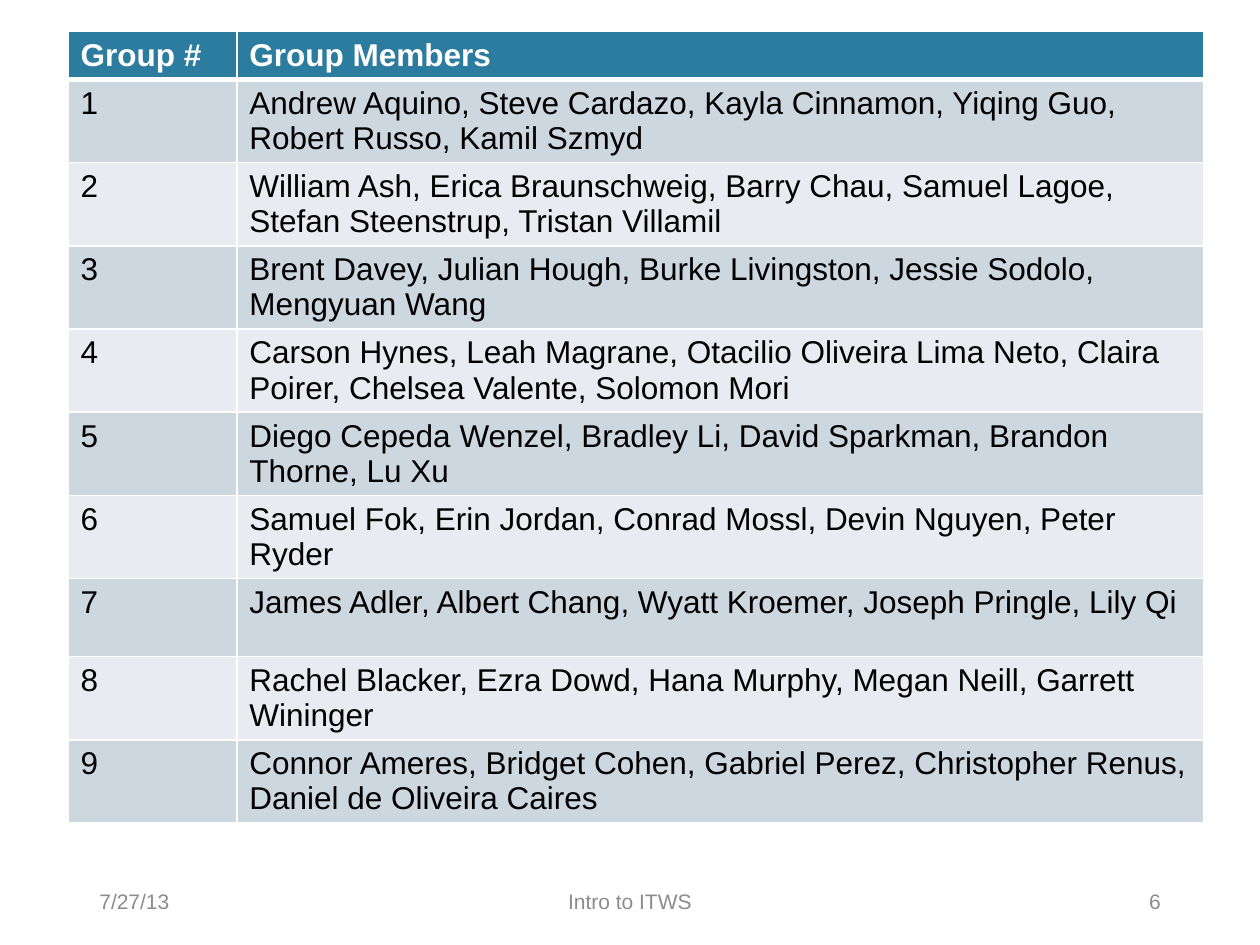
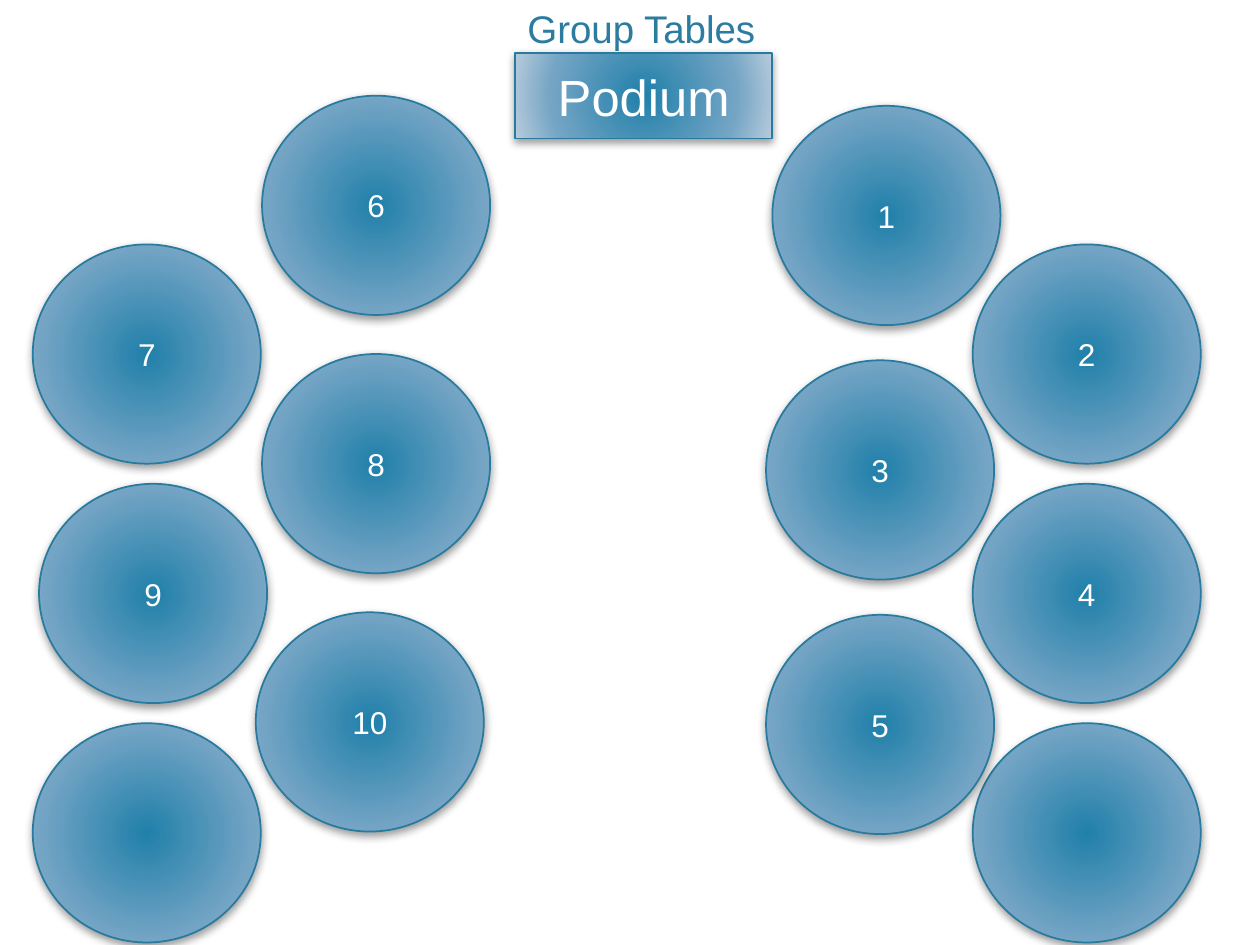
"""Build two class slides: the group roster and the seating plan."""
from pptx import Presentation, util as u
from pptx.dml.color import RGBColor
from pptx.enum import shapes, text
from pptx.oxml import parse_xml

WIDTH, HEIGHT = 10, 7.5
FONT = "Arial"
COLOURS = {
    "accent": "2C7C9F", "outline": "287A9E", "white": "FFFFFF", "black": "000000",
    "grey": "8C8C8C", "odd": "CDD7DF", "even": "E8ECF0",
}
GRADIENT = ((0, "2180AA"), (69, "75A5C5"), (100, "B8CCDC"))
SPACE = 'xmlns:a="http://schemas.openxmlformats.org/drawingml/2006/main"'
LEFT, CENTER, RIGHT = text.PP_ALIGN.LEFT, text.PP_ALIGN.CENTER, text.PP_ALIGN.RIGHT
COLUMNS = (1.34, 7.67)
HEADER_ROW, GROUP_ROW = 0.35, 0.62
SEAT = (1.81, 1.74)

GROUPS = (
    "Andrew Aquino, Steve Cardazo, Kayla Cinnamon, Yiqing Guo, Robert Russo, Kamil Szmyd",
    "William Ash, Erica Braunschweig, Barry Chau, Samuel Lagoe, Stefan Steenstrup, Tristan Villamil",
    "Brent Davey, Julian Hough, Burke Livingston, Jessie Sodolo, Mengyuan Wang",
    "Carson Hynes, Leah Magrane, Otacilio Oliveira Lima Neto, Claira Poirer, Chelsea Valente, Solomon Mori",
    "Diego Cepeda Wenzel, Bradley Li, David Sparkman, Brandon Thorne, Lu Xu",
    "Samuel Fok, Erin Jordan, Conrad Mossl, Devin Nguyen, Peter Ryder",
    "James Adler, Albert Chang, Wyatt Kroemer, Joseph Pringle, Lily Qi",
    "Rachel Blacker, Ezra Dowd, Hana Murphy, Megan Neill, Garrett Wininger",
    "Connor Ameres, Bridget Cohen, Gabriel Perez, Christopher Renus, Daniel de Oliveira Caires",
)
FOOTERS = (
    (0.69, 2.69, "7/27/13", LEFT),
    (3.81, 2.38, "Intro to ITWS", CENTER),
    (6.62, 2.69, "6", RIGHT),
)
SEAT_COLUMNS = (
    ((2.08, 2.08, 2.03), 0.76, 2.05, ("6", "8", "10")),
    ((0.26, 0.31, 0.26), 1.94, 1.9, ("7", "9", "")),
    ((7.72, 7.72, 7.72), 1.94, 1.9, ("2", "4", "")),
    ((6.13, 6.08, 6.08), 0.84, 2.02, ("1", "3", "5")),
)


def inches(*lengths):
    """Turn plain numbers into slide lengths."""
    return [u.Inches(length) for length in lengths]


def write(frame, words, size, colour, align=LEFT, bold=False):
    """Put one formatted run into the first paragraph of a frame."""
    para = frame.paragraphs[0]
    para.alignment = align
    span = para.add_run()
    span.text = words
    span.font.name, span.font.size, span.font.bold = FONT, u.Pt(size), bold
    span.font.color.rgb = RGBColor.from_string(COLOURS[colour])


def add_borders(cell, top, bottom):
    """Draw white borders around a table cell."""
    widths = (("lnL", 1), ("lnR", 1), ("lnT", top), ("lnB", bottom))
    for index, (side, width) in enumerate(widths):
        border = parse_xml(
            f'<a:{side} {SPACE} w="{u.Pt(width)}"><a:solidFill>'
            f'<a:srgbClr val="{COLOURS["white"]}"/></a:solidFill></a:{side}>')
        cell._tc.get_or_add_tcPr().insert(index, border)


def add_roster(page):
    """Add the table of groups and their members."""
    rows = [("Group #", "Group Members")]
    rows += [(str(number), names) for number, names in enumerate(GROUPS, 1)]
    height = HEADER_ROW + GROUP_ROW * len(GROUPS)
    place = inches(0.54, 0.25, sum(COLUMNS), height)
    table = page.shapes.add_table(len(rows), len(COLUMNS), *place).table
    for column, width in zip(table.columns, COLUMNS):
        column.width = u.Inches(width)
    for index, row in enumerate(rows):
        header = index == 0
        table.rows[index].height = u.Inches(HEADER_ROW if header else GROUP_ROW)
        fill = "accent" if header else ("even", "odd")[index % 2]
        for cell, words in zip(table.rows[index].cells, row):
            cell.fill.solid()
            cell.fill.fore_color.rgb = RGBColor.from_string(COLOURS[fill])
            add_borders(cell, 3 if index == 1 else 1, 3 if header else 1)
            write(cell.text_frame, words, 18, "white" if header else "black", bold=header)


def add_footer(page, left, width, words, align):
    """Add one part of the footer line."""
    box = page.shapes.add_textbox(*inches(left, 6.95, width, 0.4))
    box.text_frame.word_wrap = True
    box.text_frame.vertical_anchor = text.MSO_ANCHOR.MIDDLE
    write(box.text_frame, words, 12, "grey", align)


def add_title(page, words):
    """Move and format the title placeholder."""
    title = page.shapes.title
    title.left, title.top, title.width, title.height = inches(0.59, -0.79, 9, 1.25)
    title.text_frame.vertical_anchor = text.MSO_ANCHOR.BOTTOM
    write(title.text_frame, words, 22, "accent", CENTER)


def add_furniture(page, kind, place, words, size):
    """Add a shaded, labelled shape with a soft shadow."""
    shape = page.shapes.add_shape(kind, *inches(*place))
    stops = "".join(f'<a:gs pos="{share * 1000}"><a:srgbClr val="{colour}"/></a:gs>'
                    for share, colour in GRADIENT)
    shape._element.spPr.insert(2, parse_xml(
        f'<a:gradFill {SPACE} rotWithShape="1"><a:gsLst>{stops}</a:gsLst><a:path path="circle">'
        '<a:fillToRect l="100000" t="100000" r="100000" b="100000"/></a:path></a:gradFill>'))
    shape.line.color.rgb = RGBColor.from_string(COLOURS["outline"])
    shape.line.width = u.Pt(1)
    shape.shadow.inherit = False
    shape._element.spPr[-1].append(parse_xml(
        f'<a:outerShdw {SPACE} blurRad="{u.Pt(5)}" dist="{u.Pt(2)}" dir="5400000" rotWithShape="0">'
        f'<a:srgbClr val="{COLOURS["black"]}"><a:alpha val="40000"/></a:srgbClr></a:outerShdw>'))
    if words:
        shape.text_frame.vertical_anchor = text.MSO_ANCHOR.MIDDLE
        write(shape.text_frame, words, size, "white", CENTER)


def add_seats(page):
    """Add the columns of round tables on both sides of the room."""
    for lefts, top, pitch, labels in SEAT_COLUMNS:
        for row, (left, label) in enumerate(zip(lefts, labels)):
            place = (left, top + row * pitch, *SEAT)
            add_furniture(page, shapes.MSO_SHAPE.OVAL, place, label, 18)


def main():
    """Build and save the deck."""
    deck = Presentation()
    deck.slide_width, deck.slide_height = inches(WIDTH, HEIGHT)
    title_only, blank = deck.slide_layouts[5], deck.slide_layouts[6]

    roster = deck.slides.add_slide(blank)
    add_roster(roster)
    for footer in FOOTERS:
        add_footer(roster, *footer)

    seating = deck.slides.add_slide(title_only)
    add_title(seating, "Group Tables")
    podium = (4.09, 0.42, 2.04, 0.68)
    add_furniture(seating, shapes.MSO_SHAPE.RECTANGLE, podium, "Podium", 29)
    add_seats(seating)
    deck.save("out.pptx")


main()
